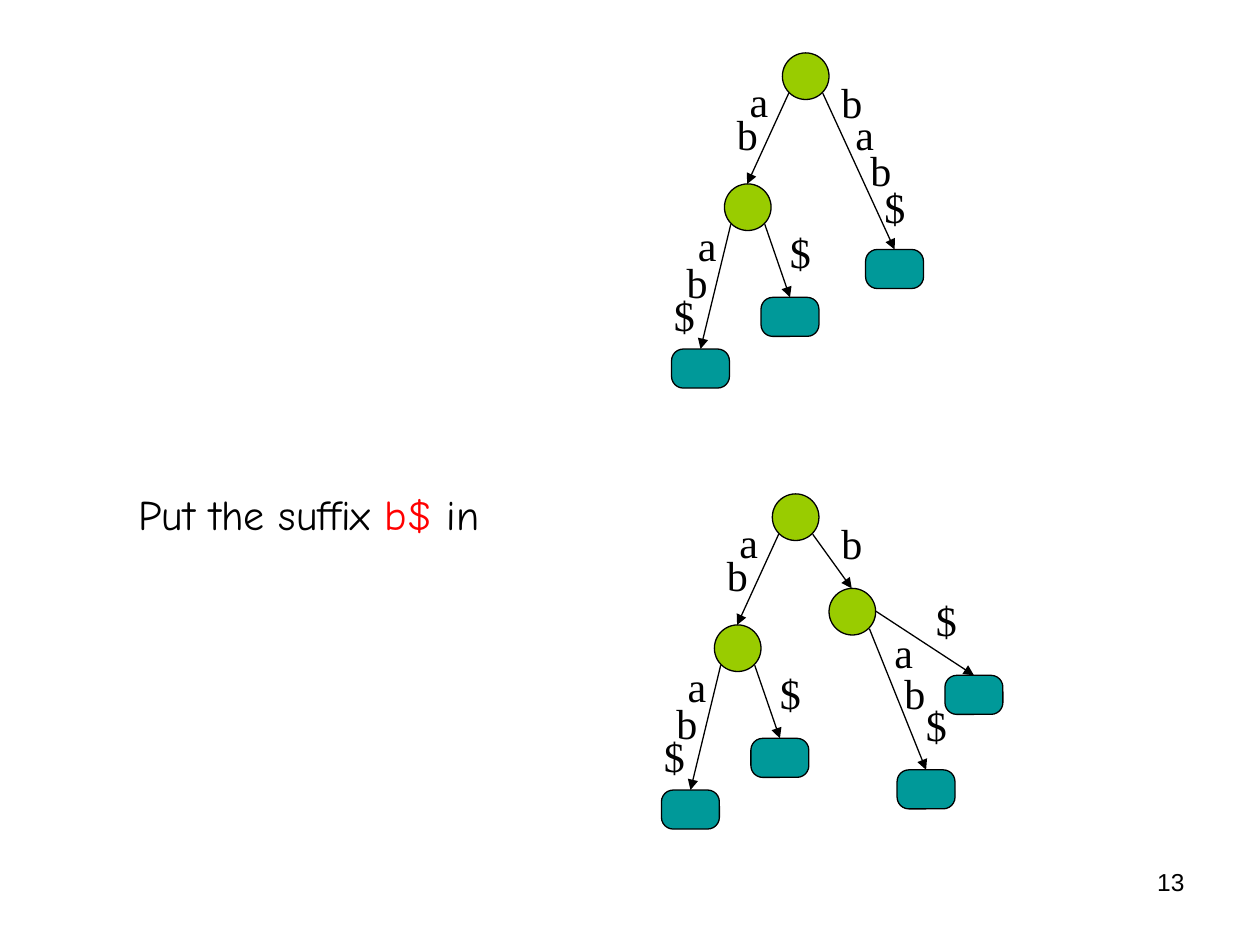
from lxml import etree
from pptx import Presentation
from pptx.dml.color import RGBColor
from pptx.enum.shapes import MSO_CONNECTOR, MSO_SHAPE
from pptx.enum.text import MSO_AUTO_SIZE, PP_ALIGN
from pptx.oxml.ns import qn
from pptx.util import Pt

PX = 9144
SLIDE_SIZE = (1000, 750)
NODE_SIZE = (37, 37)
LEAF_SIZE = (46, 31)
LABEL_SIZE = (42, 50)

BLACK = RGBColor(0x00, 0x00, 0x00)
RED = RGBColor(0xFF, 0x00, 0x00)
GREEN = RGBColor(0x99, 0xCC, 0x00)
TEAL = RGBColor(0x00, 0x99, 0x99)

OVAL = MSO_SHAPE.OVAL
ROUNDED = MSO_SHAPE.ROUNDED_RECTANGLE
STRAIGHT = MSO_CONNECTOR.STRAIGHT
GROW = MSO_AUTO_SIZE.SHAPE_TO_FIT_TEXT
FIXED = MSO_AUTO_SIZE.NONE
LEFT = PP_ALIGN.LEFT
RIGHT = PP_ALIGN.RIGHT

EXITS = {"left": (5, 32), "right": (32, 32), "side": (37, 18)}

ROOT = (96, 0)
LEFT_NODE = (50, 104)
RIGHT_NODE = (141, 75)

LEFT_BRANCH = {
    "nodes": [ROOT, LEFT_NODE],
    "leaves": [(8, 235), (79, 194)],
    "edges": [
        (ROOT, "left", LEFT_NODE),
        (LEFT_NODE, "left", (8, 235)),
        (LEFT_NODE, "right", (79, 194)),
    ],
    "labels": [
        ("a", 60, 13), ("b", 50, 39),
        ("a", 19, 127), ("b", 10, 157), ("$", 0, 183),
        ("$", 92, 133),
    ],
}
UNSPLIT_BRANCH = {
    "nodes": [],
    "leaves": [(162, 156)],
    "edges": [(ROOT, "right", (162, 156))],
    "labels": [("b", 133, 14), ("a", 144, 39), ("b", 156, 68), ("$", 167, 97)],
}
SPLIT_BRANCH = {
    "nodes": [RIGHT_NODE],
    "leaves": [(195, 219), (233, 144)],
    "edges": [
        (ROOT, "right", RIGHT_NODE),
        (RIGHT_NODE, "right", (195, 219)),
        (RIGHT_NODE, "side", (233, 144)),
    ],
    "labels": [
        ("b", 141, 14),
        ("a", 183, 100), ("b", 191, 133), ("$", 208, 158),
        ("$", 216, 75),
    ],
}


def emu(*lengths):
    return [length * PX for length in lengths]


def add_text(slide, box, parts, font_name, size, before=0, align=LEFT, fit=GROW):
    text_frame = slide.shapes.add_textbox(*emu(*box)).text_frame
    text_frame.word_wrap = True
    text_frame.auto_size = fit
    paragraph = text_frame.paragraphs[0]
    paragraph.alignment = align
    paragraph.space_before = Pt(before)
    for text, color in parts:
        run = paragraph.add_run()
        run.text = text
        run.font.name = font_name
        run.font.size = Pt(size)
        run.font.color.rgb = color


def add_vertex(slide, kind, position, size, color):
    shape = slide.shapes.add_shape(kind, *emu(*position, *size))
    shape.shadow.inherit = False
    shape.fill.solid()
    shape.fill.fore_color.rgb = color
    shape.line.color.rgb = BLACK
    shape.line.width = Pt(0.75)
    if kind == ROUNDED:
        shape.adjustments[0] = 0.3


def add_arrow(slide, start, end):
    connector = slide.shapes.add_connector(STRAIGHT, *emu(*start, *end))
    connector.line.color.rgb = BLACK
    connector.line.width = Pt(0.75)
    line = connector.line._get_or_add_ln()
    etree.SubElement(line, qn("a:tailEnd"), type="triangle")
    etree.SubElement(connector._element.spPr, qn("a:effectLst"))


def add_branch(slide, left, top, branch):
    for x, y in branch["nodes"]:
        add_vertex(slide, OVAL, (left + x, top + y), NODE_SIZE, GREEN)
    for x, y in branch["leaves"]:
        add_vertex(slide, ROUNDED, (left + x, top + y), LEAF_SIZE, TEAL)
    for parent, side, child in branch["edges"]:
        exit_x, exit_y = EXITS[side]
        child_width = (LEAF_SIZE if child in branch["leaves"] else NODE_SIZE)[0]
        start = (left + parent[0] + exit_x, top + parent[1] + exit_y)
        end = (left + child[0] + child_width // 2, top + child[1])
        add_arrow(slide, start, end)
    for letter, x, y in branch["labels"]:
        box = (left + x, top + y, *LABEL_SIZE)
        add_text(slide, box, [(letter, BLACK)], "Times New Roman", 24, before=15)


def add_suffix_tree(slide, left, top, right_branch):
    for branch in (LEFT_BRANCH, right_branch):
        add_branch(slide, left, top, branch)


def add_caption(slide, box):
    parts = [("Put the suffix ", BLACK), ("b$", RED), (" in", BLACK)]
    add_text(slide, box, parts, "Comic Neue", 24, before=11.2)


def add_page_number(slide, box):
    add_text(slide, box, [("13", BLACK)], "Arial", 14, align=RIGHT, fit=FIXED)


def main():
    presentation = Presentation()
    presentation.slide_width, presentation.slide_height = emu(*SLIDE_SIZE)
    slide = presentation.slides.add_slide(presentation.slide_layouts[6])
    add_caption(slide, (100, 383, 383, 50))
    add_suffix_tree(slide, 525, 42, UNSPLIT_BRANCH)
    add_suffix_tree(slide, 517, 392, SPLIT_BRANCH)
    add_page_number(slide, (717, 683, 233, 52))
    presentation.save("out.pptx")


if __name__ == "__main__":
    main()
